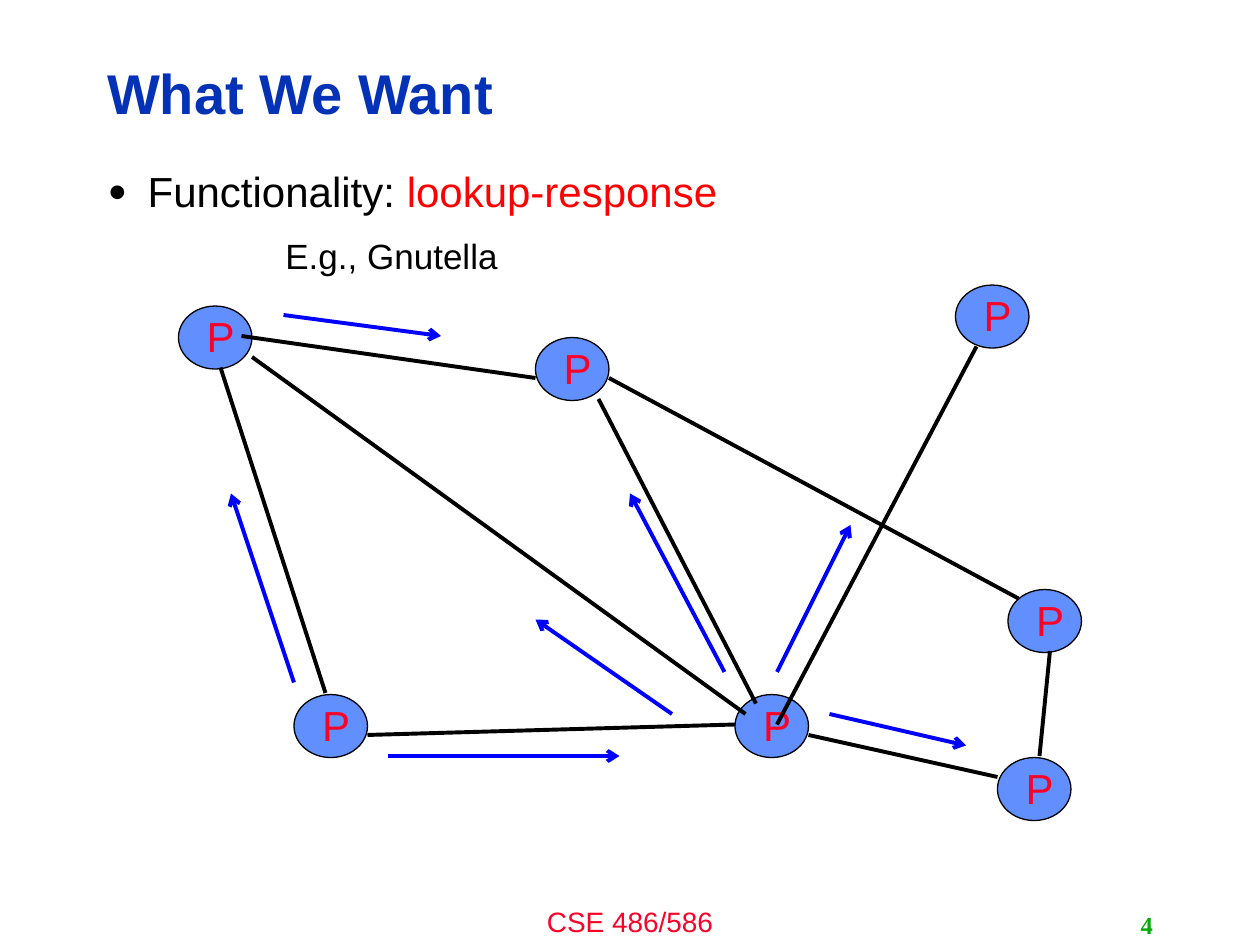
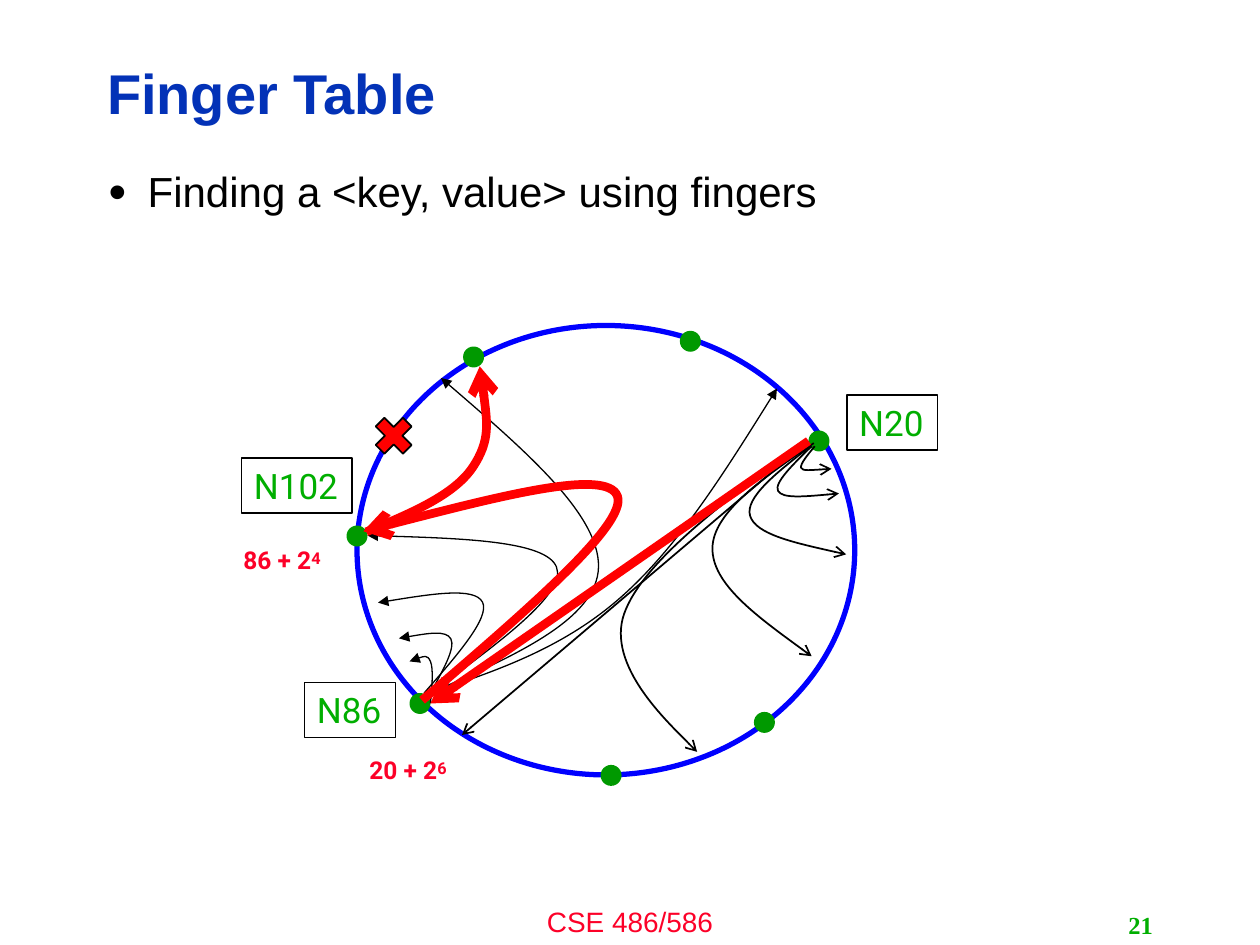
from pptx import Presentation
from pptx.dml.color import RGBColor as RGB
from pptx.enum.shapes import MSO_CONNECTOR as Link, MSO_SHAPE as Kind
from pptx.enum.text import MSO_ANCHOR as Anchor, MSO_AUTO_SIZE as Fit, PP_ALIGN as Align
from pptx.oxml.ns import qn
from pptx.util import Inches, Pt
from lxml.etree import SubElement as Sub

# Grid: 120 columns by 90 rows, twelve to the inch
COLS, ROWS = 120, 90
UNIT = Inches(1) / 12

BLACK = RGB(0x00, 0x00, 0x00)
NAVY = RGB(0x03, 0x32, 0xB7)
BLUE = RGB(0x00, 0x00, 0xFF)
SKY = RGB(0x61, 0x8F, 0xFD)
RED = RGB(0xFF, 0x00, 0x00)
ROSE = RGB(0xFC, 0x01, 0x28)
GREEN = RGB(0x00, 0xAE, 0x00)
MOSS = RGB(0x00, 0x99, 0x00)

# Text formats
HEAD = dict(name="Arial", size=Pt(32), bold=True, color=NAVY)
BODY = dict(name="Arial", size=Pt(24), color=BLACK)
HOT = dict(BODY, color=RED)
PEER = dict(BODY, color=ROSE)
NOTE = dict(BODY, size=Pt(20))
FOOT = dict(name="Arial", size=Pt(16), color=ROSE)
PAGE = dict(name="Times New Roman", size=Pt(14), bold=True, color=GREEN)
NODE = dict(name="Roboto", size=Pt(20), color=GREEN)
SUM = dict(name="Roboto", size=Pt(14), bold=True, color=ROSE)
POWER = dict(SUM, size=Pt(16))


def grid(*cells):
    return [round(cell * UNIT) for cell in cells]


# Text
def add_run(para, text, form):
    run = para.add_run()
    run.text = text
    for key, value in form.items():
        if key == "color":
            run.font.color.rgb = value
        else:
            setattr(run.font, key, value)
    return run


def set_frame(frame, **form):
    for key, value in dict(dict(auto_size=Fit.NONE, word_wrap=True), **form).items():
        setattr(frame, key, value)
    return frame.paragraphs[0]


def add_text(shapes, box, text, form, align=Align.LEFT, **frame):
    area = shapes.add_textbox(*grid(*box))
    para = set_frame(area.text_frame, **frame)
    para.alignment = align
    add_run(para, text, form)
    return para


# Shapes and lines
def paint(shape, fill=None, line=None, width=0.75):
    shape.shadow.inherit = False
    if fill is None:
        shape.fill.background()
    else:
        shape.fill.solid()
        shape.fill.fore_color.rgb = fill
    if line is None:
        shape.line.fill.background()
    else:
        shape.line.color.rgb = line
        shape.line.width = Pt(width)


def add_shape(shapes, kind, box, **look):
    shape = shapes.add_shape(kind, *grid(*box))
    paint(shape, **look)
    return shape


def add_head(shape, head):
    Sub(shape.line._get_or_add_ln(), qn("a:tailEnd"), type=head)


def add_line(slide, start, end, color, width, head=None):
    line = slide.shapes.add_connector(Link.STRAIGHT, *grid(*start, *end))
    line.line.color.rgb = color
    line.line.width = Pt(width)
    if head:
        add_head(line, head)
    Sub(line._element.spPr, qn("a:effectLst"))


def mid(a, b):
    return tuple((p + q) / 2 for p, q in zip(a, b))


def cubic(a, b, c, d, steps=24):
    for step in range(1, steps + 1):
        t = step / steps
        u = 1 - t
        yield tuple(u**3 * p + 3 * u * u * t * q + 3 * u * t * t * r + t**3 * s
                    for p, q, r, s in zip(a, b, c, d))


def add_curve(slide, pulls, color, width, head):
    """Two smooth arcs from start to end, drawn to the points near and far."""
    start, near, far, end, *last = pulls
    knot = mid(near, far)
    turn = last[0] if last else mid(far, end)
    arcs = [(start, mid(start, near), near, knot), (knot, far, turn, end)]

    # Points along the arcs give the bounds
    build = slide.shapes.build_freeform(*grid(*start))
    build.add_line_segments([grid(*dot) for arc in arcs for dot in cubic(*arc)],
                            close=False)
    curve = build.convert_to_shape()

    # True arcs take the place of the points
    steps = list(curve._element.iter(qn("a:lnTo")))
    route = steps[0].getparent()
    for step in steps:
        route.remove(step)
    for arc in arcs:
        bend = Sub(route, qn("a:cubicBezTo"))
        for dot in arc[1:]:
            x, y = grid(*dot)
            Sub(bend, qn("a:pt"), x=str(x - curve.left), y=str(y - curve.top))
    paint(curve, line=color, width=width)
    add_head(curve, head)


# Shared parts of a slide
def add_slide(deck, title, page, *runs):
    slide = deck.slides.add_slide(deck.slide_layouts[5])
    head = slide.shapes.title
    head.left, head.top, head.width, head.height = grid(9, 4.35, 95.75, 9.7)
    para = set_frame(head.text_frame, vertical_anchor=Anchor.MIDDLE)
    para.alignment, para.line_spacing = Align.LEFT, 0.9
    add_run(para, title, HEAD)

    add_text(slide.shapes, (40, 85.6, 40, 4.4), "CSE 486/586", FOOT, Align.CENTER)
    add_text(slide.shapes, (86, 86.2, 25, 3.8), page, PAGE, Align.RIGHT,
             vertical_anchor=Anchor.MIDDLE)

    (text, form), *rest = runs
    para = add_text(slide.shapes, (9.17, 15.75, 100.8, 64.65), text, form)
    para.line_spacing = 0.9
    for more in rest:
        add_run(para, *more)
    props = para._p.get_or_add_pPr()
    props.set("marL", str(Inches(0.31)))
    props.set("indent", str(-Inches(0.31)))
    Sub(props, qn("a:buSzPct"), val="120000")
    Sub(props, qn("a:buFont"), typeface="Arial")
    Sub(props, qn("a:buChar"), char="•")
    return slide


# Parts of the diagrams
def add_peer(slide, col, row):
    group = slide.shapes.add_group_shape().shapes
    add_shape(group, Kind.OVAL, (col, row + 0.15, 7, 6), fill=SKY, line=BLACK)
    add_text(group, (col + 1.5, row, 4.7, 6), "P", PEER, word_wrap=False)


def add_node(slide, col, row, wide, name, width):
    box = add_shape(slide.shapes, Kind.RECTANGLE, (col, row, wide, 5.25),
                    line=BLACK, width=width)
    para = set_frame(box.text_frame, word_wrap=False, vertical_anchor=Anchor.TOP)
    para.alignment = Align.LEFT
    add_run(para, name, NODE)


def add_sum(slide, col, row, base, power):
    para = add_text(slide.shapes, (col, row, 10.1, 4.1), base, SUM, word_wrap=False)
    run = add_run(para, power, POWER)
    run.font._element.set("baseline", "20000")


def draw_peers(deck):
    slide = add_slide(deck, "What We Want", "4",
                      ("Functionality: ", BODY), ("lookup-response", HOT))
    peers = [(70, 66), (17, 29), (96, 56), (28, 66), (51, 32), (91, 27), (95, 72)]
    for peer in peers:
        add_peer(slide, *peer)

    edges = [((51, 36), (23, 32)), ((21, 35), (31, 66)), ((58, 36), (97, 57)),
             ((24, 34), (71, 68)), ((57, 38), (72, 67)), ((35, 70), (70, 69)),
             ((93, 33), (74, 69)), ((95, 74), (77, 70)), ((99, 72), (100, 62))]
    for start, end in edges:
        add_line(slide, start, end, BLACK, 2.25)

    flows = [((37, 72), (59, 72)), ((64, 68), (51, 59)), ((69, 64), (60, 47)),
             ((74, 64), (81, 50)), ((28, 65), (22, 47)), ((27, 30), (42, 32)),
             ((79, 68), (92, 71))]
    for start, end in flows:
        add_line(slide, start, end, BLUE, 2.25, "arrow")
    add_text(slide.shapes, (26, 21.75, 22.8, 5.25), "E.g., Gnutella", NOTE,
             word_wrap=False)


def draw_ring(deck):
    slide = add_slide(deck, "Finger Table", "21",
                      ("Finding a <key, value> using fingers", BODY))
    # Ring and its nodes
    add_shape(slide.shapes, Kind.OVAL, (34, 31, 47.4, 42.8), line=BLUE, width=3)
    dots = [(77, 41), (33, 50.05), (71.8, 67.8), (44.1, 33), (39, 66),
            (57.2, 72.85), (64.75, 31.5)]
    for dot in dots:
        add_shape(slide.shapes, Kind.OVAL, (*dot, 2, 2), fill=MOSS)

    # Fingers of N86
    fingers = [((41, 67), (41.3, 63.7), (40.7, 62.3), (39, 63)),
               ((41, 66), (43.4, 61.7), (42.5, 60), (38, 60.8)),
               ((40.4, 66), (46.7, 58.8), (45.2, 55.9), (36, 57.4)),
               ((41, 66), (54, 56.5), (52, 51.5), (35, 51)),
               ((41, 66), (56.9, 59), (57.1, 49), (42, 36)),
               ((41, 66), (53.5, 61.8), (64.5, 52.2), (74, 37))]
    for pulls in fingers:
        add_curve(slide, pulls, BLACK, 0.75, "triangle")

    # Names, sums and the key sought
    add_node(slide, 29, 65, 8.65, "N86", 0.75)
    add_node(slide, 23, 43.6, 10.5, "N102", 1)
    add_node(slide, 80.65, 37.6, 8.65, "N20", 1)
    add_sum(slide, 22, 51, "86 + 2", "4")
    add_sum(slide, 34, 71, "20 + 2", "6")
    add_shape(slide.shapes, Kind.MATH_MULTIPLY, (35, 39, 5, 5),
              fill=RED, line=BLACK, width=1)

    # Fingers of N20
    add_line(slide, (77, 42), (44, 70), BLACK, 1, "arrow")
    fingers = [((77.6, 42.5), (76.2, 44.2), (76.4, 44.9), (79.2, 44.65), (79.2, 44.65)),
               ((77.3, 42.5), (73.7, 46), (74.5, 47.5), (79.9, 47)),
               ((77.2, 42.5), (70.9, 47.4), (72, 50.9), (80.6, 52.8)),
               ((77.5, 42.2), (67.9, 48.8), (67.8, 55.6), (77.3, 62.5)),
               ((76.9, 41.9), (61.2, 53.5), (57.7, 63.4), (66.4, 71.6), (66.4, 71.6))]
    for pulls in fingers:
        add_curve(slide, pulls, BLACK, 1, "arrow")

    # Route of the lookup
    add_line(slide, (77, 42), (41, 67), RED, 5, "arrow")
    hops = [((40.2, 66.7), (59.8, 49.9), (57.8, 44.6), (34.6, 50.6)),
            ((34.9, 50.65), (43.2, 47.2), (46.8, 41.9), (45.7, 34.9))]
    for pulls in hops:
        add_curve(slide, pulls, RED, 5, "arrow")


def main():
    deck = Presentation()
    deck.slide_width, deck.slide_height = grid(COLS, ROWS)
    draw_peers(deck)
    draw_ring(deck)
    deck.save("out.pptx")


if __name__ == "__main__":
    main()
